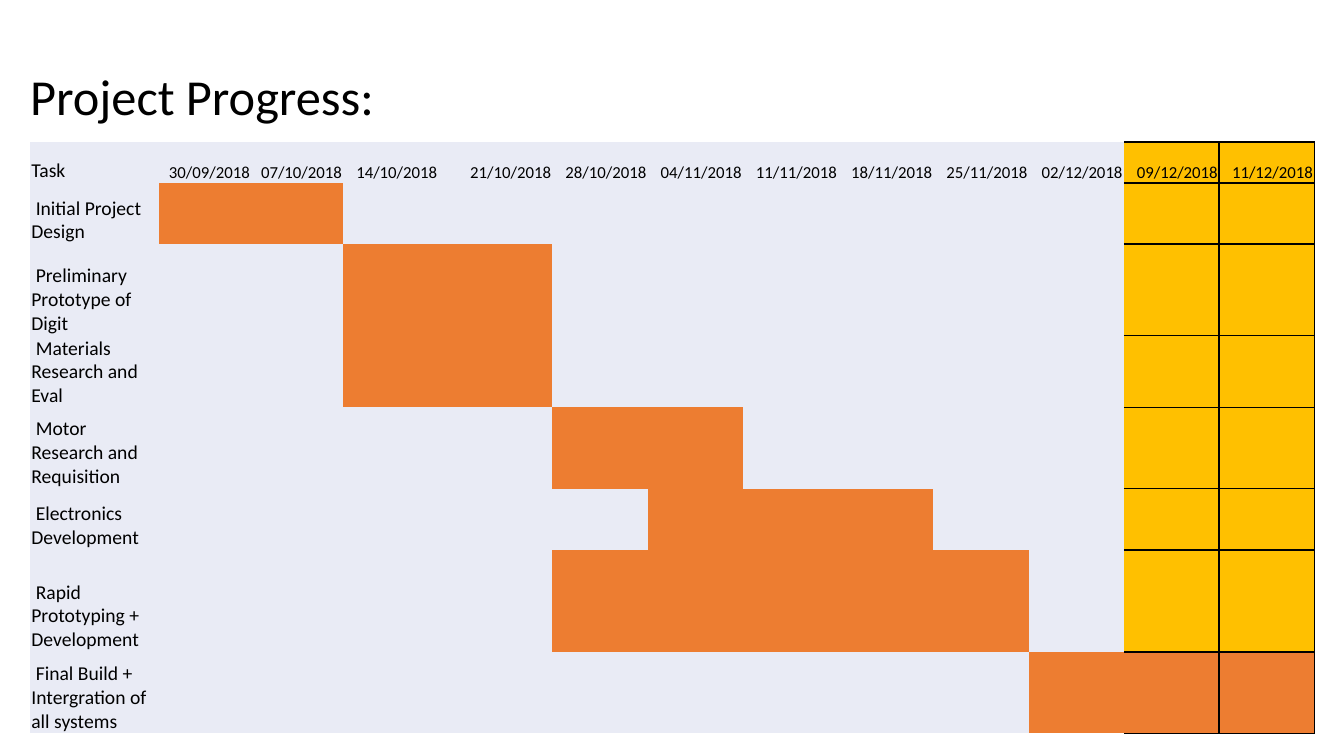
"""Build the project progress Gantt slide."""
from dataclasses import dataclass
from typing import Any

from pptx import Presentation
from pptx.dml.color import RGBColor
from pptx.enum.text import MSO_ANCHOR as Anchor, PP_ALIGN as Align
from pptx.oxml import parse_xml
from pptx.oxml.ns import nsdecls, qn
from pptx.util import Cm, Pt

BLACK = RGBColor(0x00, 0x00, 0x00)
PALE = RGBColor(0xE9, 0xEB, 0xF5)
ORANGE = RGBColor(0xED, 0x7D, 0x31)
GOLD = RGBColor(0xFF, 0xC0, 0x00)
PLAIN = "{2D5ABB26-0587-4C30-8999-92F81FD0307C}"
FONT = "Calibri"

DATES = ["30/09/2018", "07/10/2018", "14/10/2018", "21/10/2018",
         "28/10/2018", "04/11/2018", "11/11/2018", "18/11/2018",
         "25/11/2018", "02/12/2018", "09/12/2018", "11/12/2018"]
WIDTHS = [3.25, 2.32, 2.32, 2.4, 2.87] + [2.4] * 8
HEAD = 1.03
LATE = 11
CELL = {
    "margin_left": Cm(0.03), "margin_right": Cm(0.03),
    "margin_top": Cm(0.03), "margin_bottom": Cm(0),
    "vertical_anchor": Anchor.BOTTOM,
}


@dataclass
class Task:
    """A task with its row height and its first and last date columns."""
    name: str
    height: float
    first: int
    last: int


TASKS = [
    Task(" Initial Project Design", 1.54, 1, 2),
    Task(" Preliminary Prototype of Digit", 2.3, 3, 4),
    Task(" Materials Research and Eval", 1.81, 3, 4),
    Task(" Motor Research and Requisition", 2.06, 5, 6),
    Task(" Electronics Development", 1.54, 6, 8),
    Task(" Rapid Prototyping + Development", 2.57, 5, 9),
    Task(" Final Build + Intergration of all systems", 2.05, 10, 12),
]


def apply(item: Any, form: dict[str, Any]) -> None:
    """Set each format value on the item."""
    for key, value in form.items():
        setattr(item, key, value)


def write(para: Any, text: str, size: int, align: Any = Align.LEFT) -> None:
    """Write one run of black text in a paragraph."""
    para.alignment = align
    run = para.add_run()
    run.text = text
    apply(run.font, {"name": FONT, "size": Pt(size)})
    run.font.color.rgb = BLACK


def edge(cell: Any, sides: str) -> None:
    """Add thin black borders on the given sides of a cell."""
    props = cell._tc.get_or_add_tcPr()
    for side in sides:
        props.append(parse_xml(
            f'<a:ln{side} {nsdecls("a")} w="12700"><a:solidFill>'
            f'<a:srgbClr val="{BLACK}"/></a:solidFill></a:ln{side}>'))


def paint(cell: Any, col: int, busy: bool) -> None:
    """Border and fill a cell by its column and state."""
    if col >= LATE:
        edge(cell, "RTB" if col == LATE else "LRTB")
    cell.fill.solid()
    rest = GOLD if col >= LATE else PALE
    cell.fill.fore_color.rgb = ORANGE if busy else rest


def label(cell: Any, text: str, size: int, align: Any = Align.LEFT) -> None:
    """Write text at the foot of a cell."""
    apply(cell, CELL)
    write(cell.text_frame.paragraphs[0], text, size, align)


def chart(slide: Any) -> None:
    """Draw the task table with its bars."""
    heights = [HEAD] + [task.height for task in TASKS]
    frame = slide.shapes.add_table(
        len(heights), len(WIDTHS), Cm(0.76), Cm(3.58),
        Cm(sum(WIDTHS)), Cm(sum(heights)))
    table = frame.table
    apply(table, {"first_row": False, "horz_banding": False})
    table._tbl.tblPr.find(qn("a:tableStyleId")).text = PLAIN
    for col, width in zip(table.columns, WIDTHS):
        col.width = Cm(width)
    for row, height in zip(table.rows, heights):
        row.height = Cm(height)
    for col in range(len(WIDTHS)):
        paint(table.cell(0, col), col, False)
        for row, task in enumerate(TASKS, 1):
            paint(table.cell(row, col), col, task.first <= col <= task.last)
    label(table.cell(0, 0), "Task", 14)
    for col, date in enumerate(DATES, 1):
        label(table.cell(0, col), date, 12, Align.RIGHT)
    for row, task in enumerate(TASKS, 1):
        label(table.cell(row, 0), task.name, 14)


def main() -> None:
    """Build and save the slide."""
    deck = Presentation()
    apply(deck, {"slide_width": Cm(33.87), "slide_height": Cm(19.05)})
    slide = deck.slides.add_slide(deck.slide_layouts[6])
    title = slide.shapes.add_textbox(Cm(0.51), Cm(1.52), Cm(21.39), Cm(1.8))
    title.text_frame.word_wrap = True
    write(title.text_frame.paragraphs[0], "Project Progress:", 36)
    chart(slide)
    deck.save("out.pptx")


if __name__ == "__main__":
    main()
